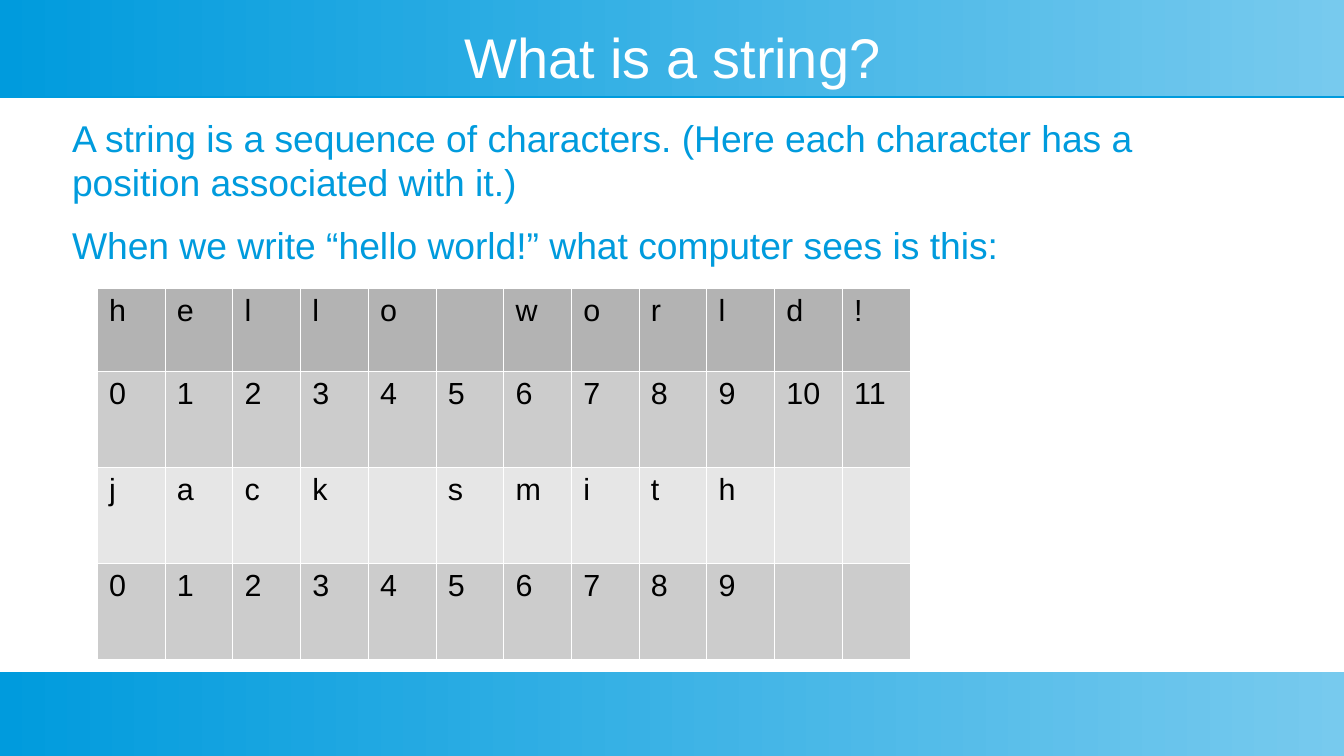
from lxml import etree
from pptx import Presentation
from pptx.dml.color import RGBColor
from pptx.enum.shapes import MSO_SHAPE as Preset
from pptx.enum.text import MSO_ANCHOR as Anchor, PP_ALIGN as Align
from pptx.oxml import parse_xml
from pptx.oxml.ns import nsdecls, qn
from pptx.util import Emu, Pt

PX = 7495  # EMU in one px
SLIDE_WIDTH, SLIDE_HEIGHT = 1344, 756

BLUE = RGBColor(0x00, 0x9B, 0xDD)
LIGHT_BLUE = RGBColor(0x77, 0xCA, 0xEE)
WHITE = RGBColor(0xFF, 0xFF, 0xFF)
BLACK = RGBColor(0x00, 0x00, 0x00)
DARK_GRAY = RGBColor(0xB3, 0xB3, 0xB3)
MID_GRAY = RGBColor(0xCC, 0xCC, 0xCC)
PALE_GRAY = RGBColor(0xE6, 0xE6, 0xE6)

TITLE_FONT = {"name": "Arial", "size": Pt(33), "color": WHITE}
BODY_FONT = {"name": "Arial", "size": Pt(22), "color": BLUE}
CELL_FONT = {"name": "Arial", "size": Pt(18), "color": BLACK}

BODY = [
    "A string is a sequence of characters. (Here each character has a position associated with it.)",
    "When we write “hello world!” what computer sees is this:",
]
STRINGS = ["hello world!", "jack smith"]
ROW_FILLS = [DARK_GRAY, MID_GRAY, PALE_GRAY, MID_GRAY]
ROW_HEIGHTS = [83, 96, 96, 96]


def scale(box):
    return [Emu(length * PX) for length in box]


def format_font(font, values):
    for name, value in values.items():
        if name == "color":
            font.color.rgb = value
        else:
            setattr(font, name, value)


def add_band(slide, box):
    """Gradient band with a thin blue shadow under its lower edge."""
    band = slide.shapes.add_shape(Preset.RECTANGLE, *scale(box))
    band.line.fill.background()
    band.fill.gradient()
    band.fill.gradient_angle = 0
    for stop, color in zip(band.fill.gradient_stops, (BLUE, LIGHT_BLUE)):
        stop.color.rgb = color
    band.shadow.inherit = False
    effects = band._element.spPr.find(qn("a:effectLst"))
    effects.append(parse_xml(
        f'<a:outerShdw {nsdecls("a")} blurRad="0" dist="{Pt(0.9)}" dir="5400000">'
        f'<a:srgbClr val="{BLUE}"/></a:outerShdw>'))


def add_text(slide, box, lines, font, align=Align.LEFT, anchor=Anchor.TOP):
    frame = slide.shapes.add_textbox(*scale(box)).text_frame
    settings = {"word_wrap": True, "vertical_anchor": anchor, "margin_left": 0,
                "margin_top": 0, "margin_right": 0, "margin_bottom": 0}
    for name, value in settings.items():
        setattr(frame, name, value)
    for index, line in enumerate(lines):
        paragraph = frame.add_paragraph() if index else frame.paragraphs[0]
        paragraph.text = line
        paragraph.alignment = align
        if index:
            paragraph.space_before = Pt(10.6)
        format_font(paragraph.font, font)


def add_borders(cell, color):
    properties = cell._tc.get_or_add_tcPr()
    for position, side in enumerate(("lnL", "lnR", "lnT", "lnB")):
        line = etree.Element(qn(f"a:{side}"), w=str(Pt(0.06)))
        fill = etree.SubElement(line, qn("a:solidFill"))
        etree.SubElement(fill, qn("a:srgbClr"), val=str(color))
        properties.insert(position, line)


def add_character_table(slide, box):
    """Each string takes two rows: its characters, then their positions."""
    columns = max(len(string) for string in STRINGS)
    rows = []
    for string in STRINGS:
        rows += [list(string), [str(position) for position in range(len(string))]]

    table = slide.shapes.add_table(len(rows), columns, *scale(box)).table
    table.first_row = table.horz_banding = False
    for column in table.columns:
        column.width = Emu(box[2] * PX // columns)
    for row, height, texts, fill in zip(table.rows, ROW_HEIGHTS, rows, ROW_FILLS):
        row.height = Emu(height * PX)
        for index, cell in enumerate(row.cells):
            cell.fill.solid()
            cell.fill.fore_color.rgb = fill
            add_borders(cell, WHITE)
            paragraph = cell.text_frame.paragraphs[0]
            if index < len(texts):
                paragraph.text = texts[index].strip()
            format_font(paragraph.font, CELL_FONT)


def build_slide(presentation):
    slide = presentation.slides.add_slide(presentation.slide_layouts[6])
    # Header and footer bands
    add_band(slide, (0, 0, SLIDE_WIDTH, 96))
    add_band(slide, (0, 672, SLIDE_WIDTH, SLIDE_HEIGHT - 672))
    # Title and explanation
    add_text(slide, (48, 24, 1249, 64), ["What is a string?"], TITLE_FONT,
             Align.CENTER, Anchor.MIDDLE)
    add_text(slide, (72, 115, 1192, 481), BODY, BODY_FONT)
    # Characters and their positions
    add_character_table(slide, (97, 288, 813, sum(ROW_HEIGHTS)))


def main():
    presentation = Presentation()
    presentation.slide_width, presentation.slide_height = scale((SLIDE_WIDTH, SLIDE_HEIGHT))
    build_slide(presentation)
    presentation.save("out.pptx")


if __name__ == "__main__":
    main()
